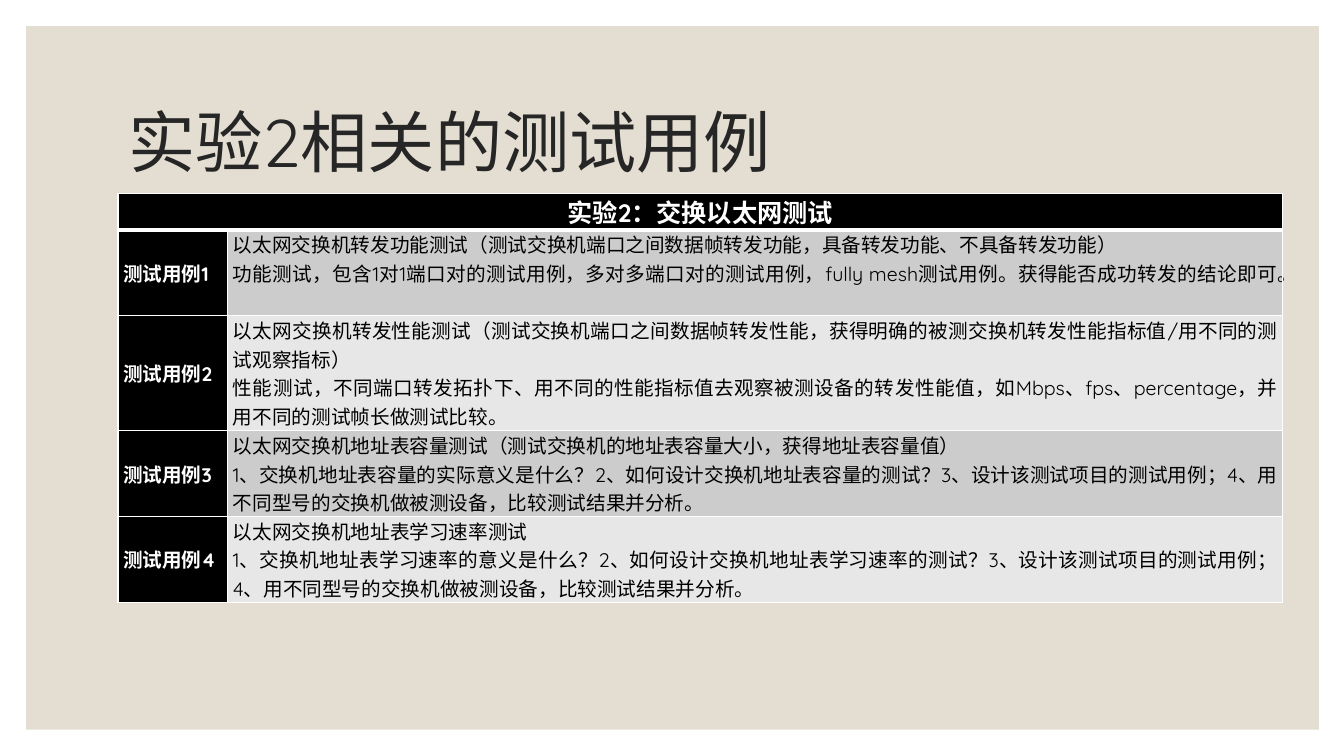
from pptx import Presentation, util as u
from pptx.dml.color import RGBColor
from pptx.enum import shapes, text
from pptx.oxml import parse_xml
from pptx.oxml.ns import nsdecls


def color(code):
    return RGBColor.from_string(code)


class Deck:
    font = "Quicksand"
    ink, dark, white = "000000", "262626", "FFFFFF"
    sand = "E3DED1"
    bands = ("CCCCCC", "E7E7E7")

    def __init__(self):
        self.prs = Presentation()
        self.prs.slide_width = u.Inches(13.33)
        self.prs.slide_height = u.Inches(7.5)
        self.slide = self.prs.slides.add_slide(self.prs.slide_layouts[5])

    def panel(self, *box):
        rect = self.slide.shapes.add_shape(
            shapes.MSO_SHAPE.RECTANGLE, *map(u.Inches, box))
        rect.shadow.inherit = False
        rect.fill.solid()
        rect.fill.fore_color.rgb = color(self.sand)
        rect.line.fill.background()

    def run(self, para, words, size, tint, bold=False):
        run = para.add_run()
        run.text = words
        run.font.name = self.font
        run.font.size = u.Pt(size)
        run.font.bold = bold
        run.font.color.rgb = color(tint)

    def title(self, words, *box):
        head = self.slide.shapes.title
        head.left, head.top, head.width, head.height = map(u.Inches, box)
        frame = head.text_frame
        frame.word_wrap = True
        frame.auto_size = text.MSO_AUTO_SIZE.NONE
        frame.vertical_anchor = text.MSO_ANCHOR.MIDDLE
        para = frame.paragraphs[0]
        para.alignment = text.PP_ALIGN.LEFT
        para.line_spacing = 0.9
        self.run(para, words, 48, self.dark)
        # Bring the title in front of the panel
        head.element.getparent().append(head.element)

    def table(self, left, top, cols, rows):
        box = map(u.Inches, (left, top, sum(cols), sum(rows)))
        grid = self.slide.shapes.add_table(len(rows), len(cols), *box).table
        for col, width in zip(grid.columns, cols):
            col.width = u.Inches(width)
        for row, height in zip(grid.rows, rows):
            row.height = u.Inches(height)
        return grid

    def border(self, cell, base):
        props = cell._tc.get_or_add_tcPr()
        for side, width in zip("LRTB", (1, 1, 1, base)):
            props.append(parse_xml(
                f'<a:ln{side} {nsdecls("a")} w="{u.Pt(width)}"><a:solidFill>'
                f'<a:srgbClr val="{self.white}"/></a:solidFill></a:ln{side}>'))

    def cell(self, cell, lines, fill, tint, size=14, bold=False,
             align=text.PP_ALIGN.JUSTIFY, anchor=text.MSO_ANCHOR.TOP, base=1):
        self.border(cell, base)
        cell.fill.solid()
        cell.fill.fore_color.rgb = color(fill)
        cell.margin_left = cell.margin_right = u.Inches(0.05)
        cell.margin_top = cell.margin_bottom = 0
        cell.vertical_anchor = anchor
        frame = cell.text_frame
        for i, line in enumerate(lines):
            para = frame.add_paragraph() if i else frame.paragraphs[0]
            para.alignment = align
            self.run(para, line, size, tint, bold)


CASES = [
    ("以太网交换机转发功能测试（测试交换机端口之间数据帧转发功能，具备转发功能、不具备转发功能）",
     "功能测试，包含1对1端口对的测试用例，多对多端口对的测试用例，fully mesh测试用例。"
     "获得能否成功转发的结论即可。"),
    ("以太网交换机转发性能测试（测试交换机端口之间数据帧转发性能，"
     "获得明确的被测交换机转发性能指标值/用不同的测试观察指标）",
     "性能测试，不同端口转发拓扑下、用不同的性能指标值去观察被测设备的转发性能值，"
     "如Mbps、fps、percentage，并用不同的测试帧长做测试比较。"),
    ("以太网交换机地址表容量测试（测试交换机的地址表容量大小，获得地址表容量值）",
     "1、交换机地址表容量的实际意义是什么？2、如何设计交换机地址表容量的测试？"
     "3、设计该测试项目的测试用例；4、用不同型号的交换机做被测设备，比较测试结果并分析。"),
    ("以太网交换机地址表学习速率测试",
     "1、交换机地址表学习速率的意义是什么？2、如何设计交换机地址表学习速率的测试？"
     "3、设计该测试项目的测试用例；4、用不同型号的交换机做被测设备，比较测试结果并分析。"),
]


def main():
    deck = Deck()

    # Backdrop and title
    deck.panel(0.26, 0.26, 12.82, 6.98)
    deck.title("实验2相关的测试用例", 1.17, 0.7, 11, 1.5)

    # Table heading
    grid = deck.table(1.17, 1.92, (1.09, 10.46), (0.13, 0.63, 1.14, 0.76, 0.63))
    grid.cell(0, 0).merge(grid.cell(0, 1))
    deck.cell(grid.cell(0, 0), ["实验2：交换以太网测试"], deck.ink, deck.white,
              size=18, bold=True, align=text.PP_ALIGN.CENTER, base=3)
    deck.border(grid.cell(0, 1), 3)

    # One row for each test case
    for i, lines in enumerate(CASES, 1):
        deck.cell(grid.cell(i, 0), [f"测试用例{i}"], deck.ink, deck.white,
                  bold=True, anchor=text.MSO_ANCHOR.MIDDLE)
        deck.cell(grid.cell(i, 1), lines, deck.bands[(i - 1) % 2], deck.ink)

    deck.prs.save("out.pptx")


if __name__ == "__main__":
    main()
